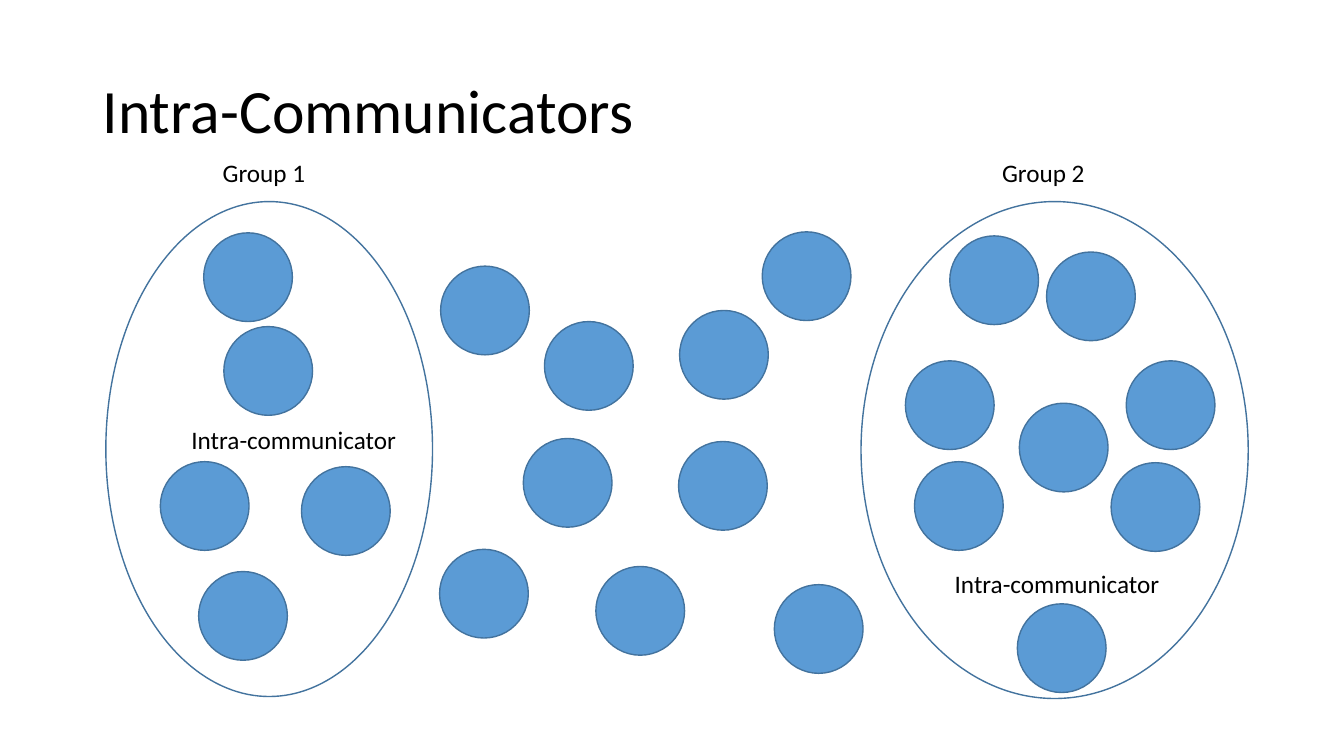
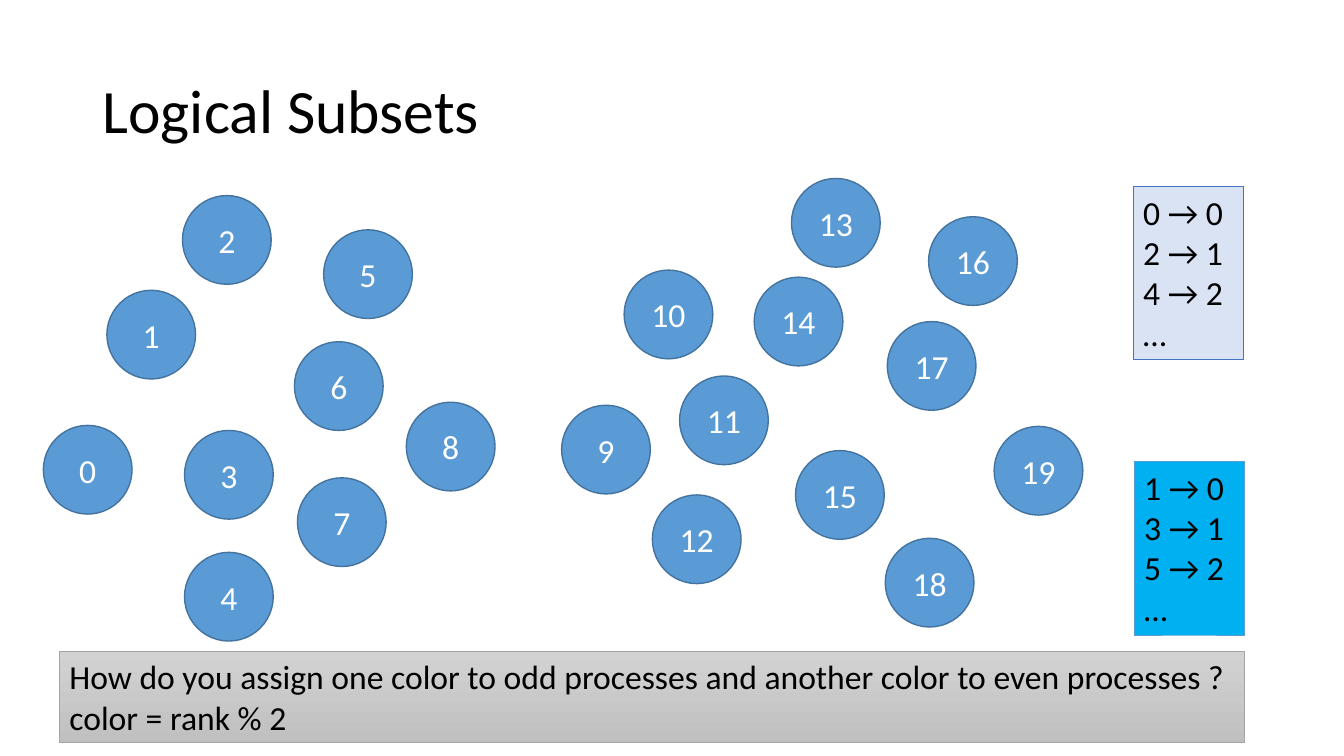
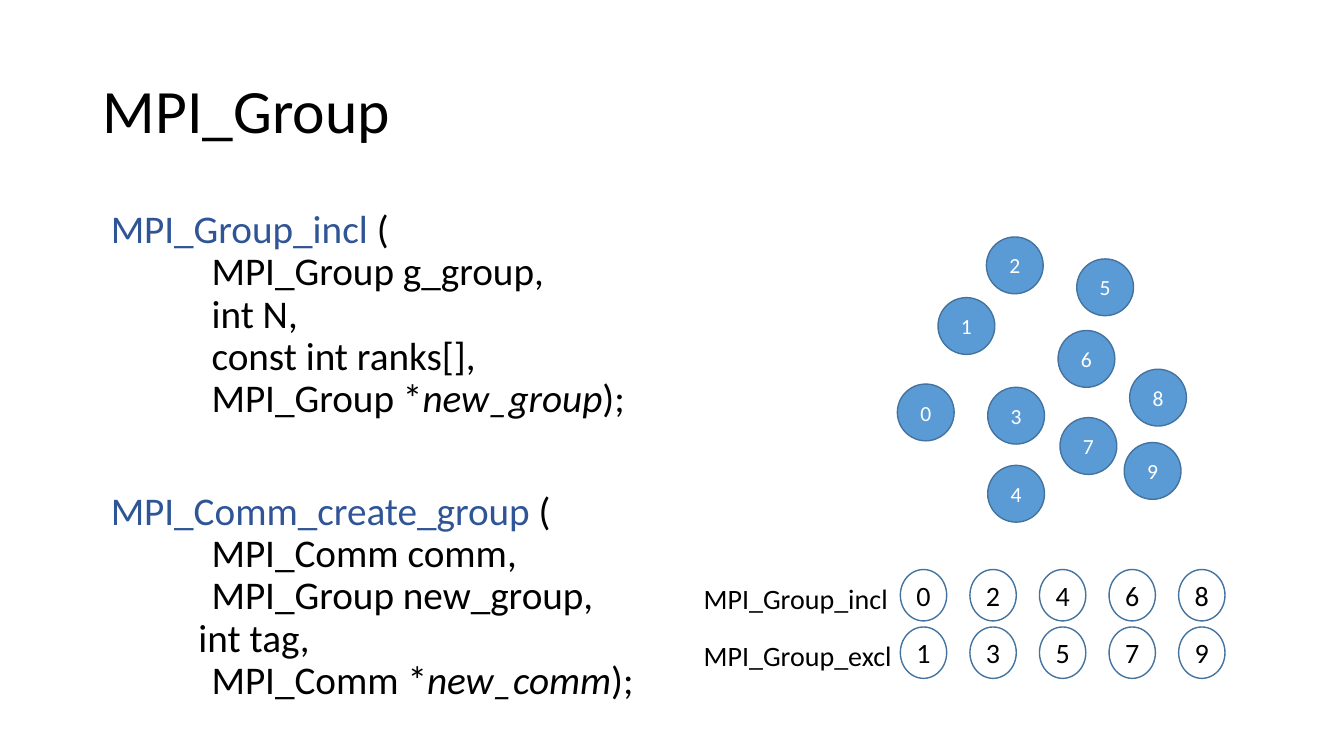
from pptx import Presentation
from pptx.dml.color import RGBColor
from pptx.enum import shapes, text
from pptx.util import Inches, Pt

FONT = "Calibri"
BLACK, WHITE, BLUE, EDGE, NAVY = "000000", "FFFFFF", "5B9BD5", "43739E", "2F5597"
OVAL, RECT = shapes.MSO_SHAPE.OVAL, shapes.MSO_SHAPE.RECTANGLE
MID, TOP = text.MSO_ANCHOR.MIDDLE, text.MSO_ANCHOR.TOP
LEFT, CENTER = text.PP_ALIGN.LEFT, text.PP_ALIGN.CENTER
SIZE = 0.88

GROUPS = [(8.54, 2, 3.84, 4.93), (1.05, 2, 3.24, 4.91)]
DOTS = [
    (2.22, 3.24), (5.4, 3.19), (2.99, 4.63), (2.02, 2.31), (5.19, 4.35),
    (5.91, 5.62), (4.37, 2.64), (6.74, 3.08), (11.17, 3.58), (9.07, 4.58),
    (8.98, 3.58), (4.36, 5.45), (9.42, 2.34), (10.38, 2.5), (10.11, 4),
    (11.02, 4.59), (1.97, 5.67), (1.59, 4.58), (10.09, 5.99), (6.73, 4.38),
    (7.68, 5.8), (7.56, 2.3),
]
LABELS = [
    ("Intra-communicator", (1.8, 4.16, 2.25, 0.4)),
    ("Intra-communicator", (9.37, 5.59, 2.25, 0.4)),
    ("Group 1", (2.11, 1.51, 1.32, 0.4)),
    ("Group 2", (9.84, 1.51, 1.32, 0.4)),
]

RANKS = [
    (0.43, 4.22), (1.06, 2.88), (1.81, 1.94), (1.83, 4.27), (1.83, 5.48),
    (3.21, 2.28), (2.92, 3.39), (2.95, 4.74), (4.03, 3.99), (5.57, 4.02),
    (6.19, 2.68), (6.74, 3.73), (6.47, 4.91), (7.85, 1.77), (7.48, 2.75),
    (7.89, 4.47), (9.21, 2.15), (8.8, 3.19), (8.78, 5.34), (9.86, 4.23),
]
MAPS = [
    ((11.24, 1.85, 1.09, 1.72), "DAE3F3", "4472C4", ["0 → 0", "2 → 1", "4 → 2", "…"]),
    ((11.25, 4.58, 1.09, 1.72), "00B0F0", BLUE, ["1 → 0", "3 → 1", "5 → 2", "…"]),
]
ASK = [
    "How do you assign one color to odd processes and another color to even processes ?",
    "color = rank % 2",
]

CALLS = [
    ("MPI_Group_incl", [
        ("MPI_Group g_group,", 1.08), ("int N,", 1.08),
        ("const int ranks[],", 1.08)], "MPI_Group *", "new_group"),
    ("MPI_Comm_create_group", [
        ("MPI_Comm comm,", 1.08), ("MPI_Group new_group,", 1.08),
        ("int tag,", 0.95)], "MPI_Comm *", "new_comm"),
]
ROWS = [("MPI_Group_incl", 0, 2.05), ("MPI_Group_excl", 1, 2.09)]


def color(code):
    return RGBColor.from_string(code)


def put(item, values):
    for name, value in values.items():
        setattr(item, name, value)


def add_runs(para, runs, size):
    for words, tone, slant in runs:
        run = para.add_run()
        run.text = words
        put(run.font, {"name": FONT, "size": Pt(size), "italic": slant})
        run.font.color.rgb = color(tone)


def write(shape, lines, size, tone=BLACK, align=LEFT, anchor=TOP, **frame):
    tf = shape.text_frame
    put(tf, {"word_wrap": True, "vertical_anchor": anchor, **frame})
    for i, line in enumerate(lines):
        para = tf.add_paragraph() if i else tf.paragraphs[0]
        para.alignment = align
        add_runs(para, [(line, tone, None)], size)


def add_box(slide, box):
    return slide.shapes.add_textbox(*map(Inches, box))


def draw(slide, kind, box, fill, edge=EDGE, width=1):
    shape = slide.shapes.add_shape(kind, *map(Inches, box))
    shape.shadow.inherit = False
    if fill:
        shape.fill.solid()
        shape.fill.fore_color.rgb = color(fill)
    shape.line.color.rgb = color(edge)
    shape.line.width = Pt(width)
    return shape


def add_node(slide, box, label, size, fill=BLUE, tone=WHITE):
    flat = dict.fromkeys(
        ["margin_left", "margin_right", "margin_top", "margin_bottom"], 0)
    write(draw(slide, OVAL, box, fill), [str(label)], size, tone, CENTER, MID, **flat)


def add_slide(deck, title):
    slide = deck.slides.add_slide(deck.slide_layouts[6])
    box = add_box(slide, (0.92, 0.4, 11.5, 1.45))
    write(box, [title], 44, anchor=MID)
    box.text_frame.paragraphs[0].line_spacing = 0.9
    return slide


def add_intra(deck):
    slide = add_slide(deck, "Intra-Communicators")
    for box in GROUPS:
        draw(slide, OVAL, box, WHITE)
    for x, y in DOTS:
        draw(slide, OVAL, (x, y, SIZE, SIZE), BLUE)
    for label, box in LABELS:
        write(add_box(slide, box), [label], 18, word_wrap=False)


def add_subsets(deck):
    slide = add_slide(deck, "Logical Subsets")
    for rank, (x, y) in enumerate(RANKS):
        add_node(slide, (x, y, SIZE, SIZE), rank, 24)
    bar = draw(slide, RECT, (0.59, 6.46, 11.75, 0.91), None, "A5A5A5", 0.5)
    bar.fill.gradient()
    bar.fill.gradient_angle = 270
    for stop, tone in zip(bar.fill.gradient_stops, ["D2D2D2", "C0C0C0"]):
        stop.color.rgb = color(tone)
    write(bar, ASK, 24)
    for box, fill, edge, lines in MAPS:
        write(draw(slide, RECT, box, fill, edge, 0.5), lines, 24)


def add_code(slide):
    tf = add_box(slide, (0.92, 2.03, 5.92, 5.38)).text_frame
    tf.word_wrap = True
    for i, (name, args, last, out) in enumerate(CALLS):
        lines = [([(name, NAVY, None), (" (", BLACK, None)], 0.08)]
        lines += [([(arg, BLACK, None)], dent) for arg, dent in args]
        lines.append(([(last, BLACK, None), (out, BLACK, True), (");", BLACK, None)], 1.08))
        for j, (runs, dent) in enumerate(lines):
            para = tf.add_paragraph() if i or j else tf.paragraphs[0]
            gap = 50 if i and not j else 0
            put(para, {"line_spacing": 0.9, "space_before": Pt(gap)})
            para._p.get_or_add_pPr().set("marL", str(Inches(dent)))
            add_runs(para, runs, 28)


def add_group(deck):
    slide = add_slide(deck, "MPI_Group")
    add_code(slide)
    scale = 0.64
    left, top = RANKS[0]
    spots = [(8.9 + (x - left) * scale, 3.81 + (y - top) * scale) for x, y in RANKS[:9]]
    for rank, (x, y) in enumerate(spots + [(11.15, 4.39)]):
        add_node(slide, (x, y, SIZE * scale, SIZE * scale), rank, 15.4)
    for label, row, width in ROWS:
        drop = row * 0.57
        write(add_box(slide, (6.88, 5.72 + drop, width, 0.44)), [label], 20, word_wrap=False)
        for col in range(5):
            box = (8.93 + col * 0.69, 5.65 + drop, 0.46, 0.51)
            add_node(slide, box, 2 * col + row, 20, WHITE, BLACK)


def main():
    deck = Presentation()
    put(deck, {"slide_width": Inches(13.33), "slide_height": Inches(7.5)})
    for build in (add_intra, add_subsets, add_group):
        build(deck)
    deck.save("out.pptx")


if __name__ == "__main__":
    main()
